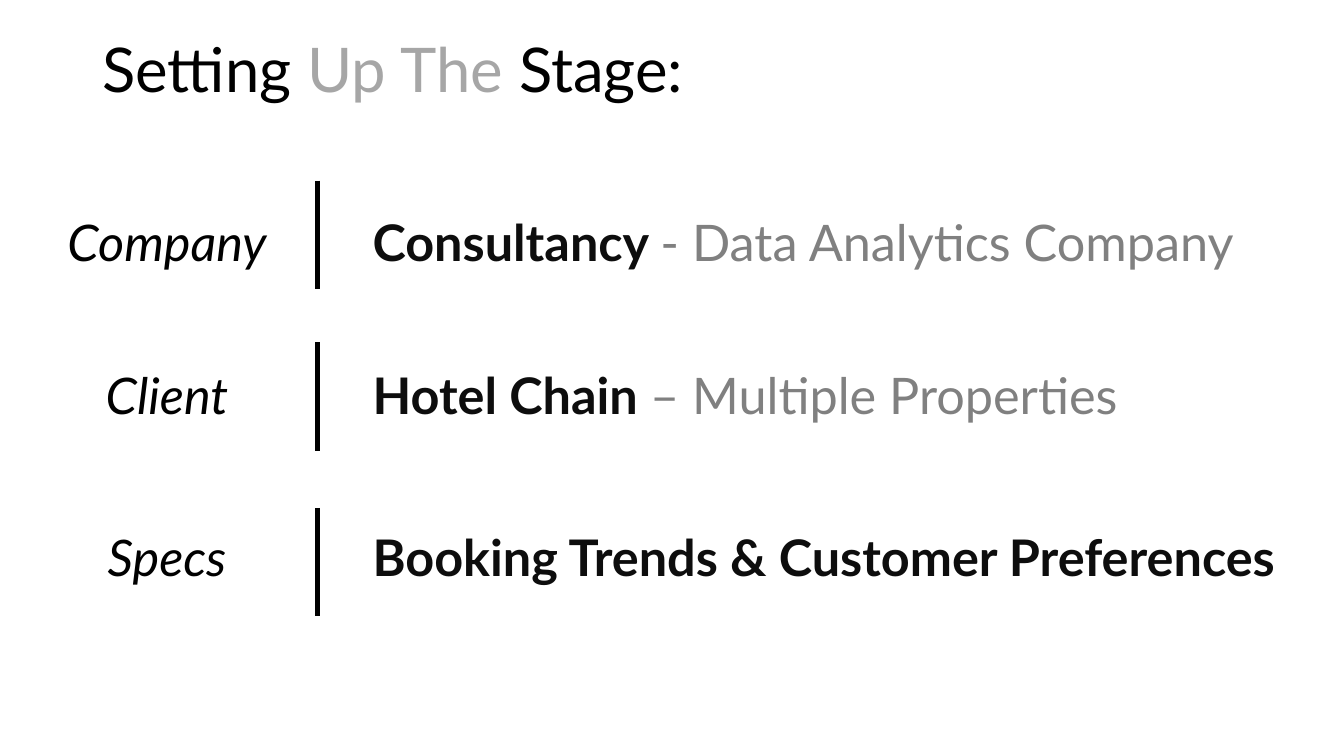
from lxml import etree
from pptx import Presentation
from pptx.dml.color import RGBColor
from pptx.enum.shapes import MSO_CONNECTOR, MSO_SHAPE
from pptx.enum.text import MSO_ANCHOR as Anchor, PP_ALIGN as Align
from pptx.oxml.ns import qn
from pptx.util import Cm, Pt

BLACK = RGBColor(0x00, 0x00, 0x00)
INK = RGBColor(0x0D, 0x0D, 0x0D)
GREY = RGBColor(0x80, 0x80, 0x80)
LIGHT_GREY = RGBColor(0xA6, 0xA6, 0xA6)
WHITE = RGBColor(0xFF, 0xFF, 0xFF)

# label, bold subject, grey detail, top, height, divider top (cm)
ROWS = [
    ("Company", "Consultancy ", "- Data Analytics Company", 4.88, 2.41, 4.55),
    ("Client", "Hotel Chain ", "– Multiple Properties", 8.74, 2.41, 8.63),
    ("Specs", "Booking Trends & Customer Preferences", "", 12.57, 2.92, 12.8),
]
DIVIDER_X, DIVIDER_LENGTH = 8, 2.73


class StageSlide:
    font = "Lato"
    title_size = Pt(44)
    body_size = Pt(36)

    def __init__(self, slide):
        self.slide = slide

    def fill_frame(self, frame, runs, size, align=Align.LEFT):
        """Fill a frame with one paragraph of (text, colour, bold, italic) runs."""
        frame.word_wrap = True
        frame.vertical_anchor = Anchor.MIDDLE
        paragraph = frame.paragraphs[0]
        paragraph.alignment = align
        for text, colour, bold, italic in runs:
            run = paragraph.add_run()
            run.text = text
            run.font.name = self.font
            run.font.size = size
            run.font.bold = bold
            run.font.italic = italic
            run.font.color.rgb = colour
        return paragraph

    def text(self, left, top, width, height, runs, size):
        box = self.slide.shapes.add_textbox(Cm(left), Cm(top), Cm(width), Cm(height))
        return self.fill_frame(box.text_frame, runs, size)

    def title(self, runs):
        heading = self.text(2.33, -0.02, 29.21, 3.68, runs, self.title_size)
        heading.line_spacing = 0.9

    def label(self, text, top, height):
        panel = self.slide.shapes.add_shape(
            MSO_SHAPE.RECTANGLE, Cm(-0.02), Cm(top), Cm(8.46), Cm(height))
        panel.shadow.inherit = False
        panel.fill.solid()
        panel.fill.fore_color.rgb = WHITE
        panel.line.fill.background()
        self.fill_frame(panel.text_frame, [(text, BLACK, False, True)],
                        self.body_size, Align.CENTER)

    def divider(self, top):
        line = self.slide.shapes.add_connector(
            MSO_CONNECTOR.STRAIGHT, Cm(DIVIDER_X), Cm(top),
            Cm(DIVIDER_X), Cm(top + DIVIDER_LENGTH))
        line.line.color.rgb = BLACK
        line.line.width = Pt(3)
        etree.SubElement(line._element.spPr, qn("a:effectLst"))


def main():
    deck = Presentation()
    deck.slide_width, deck.slide_height = Cm(33.87), Cm(19.05)
    stage = StageSlide(deck.slides.add_slide(deck.slide_layouts[6]))

    stage.title([
        ("Setting ", BLACK, False, False),
        ("Up The ", LIGHT_GREY, False, False),
        ("Stage:", BLACK, False, False),
    ])
    for label, subject, detail, top, height, _ in ROWS:
        stage.label(label, top, height)
        runs = [(subject, INK, True, False)]
        if detail:
            runs.append((detail, GREY, False, False))
        stage.text(9.14, top, 24.38, height, runs, stage.body_size)
    for *_, divider_top in ROWS:
        stage.divider(divider_top)

    deck.save("out.pptx")


if __name__ == "__main__":
    main()
